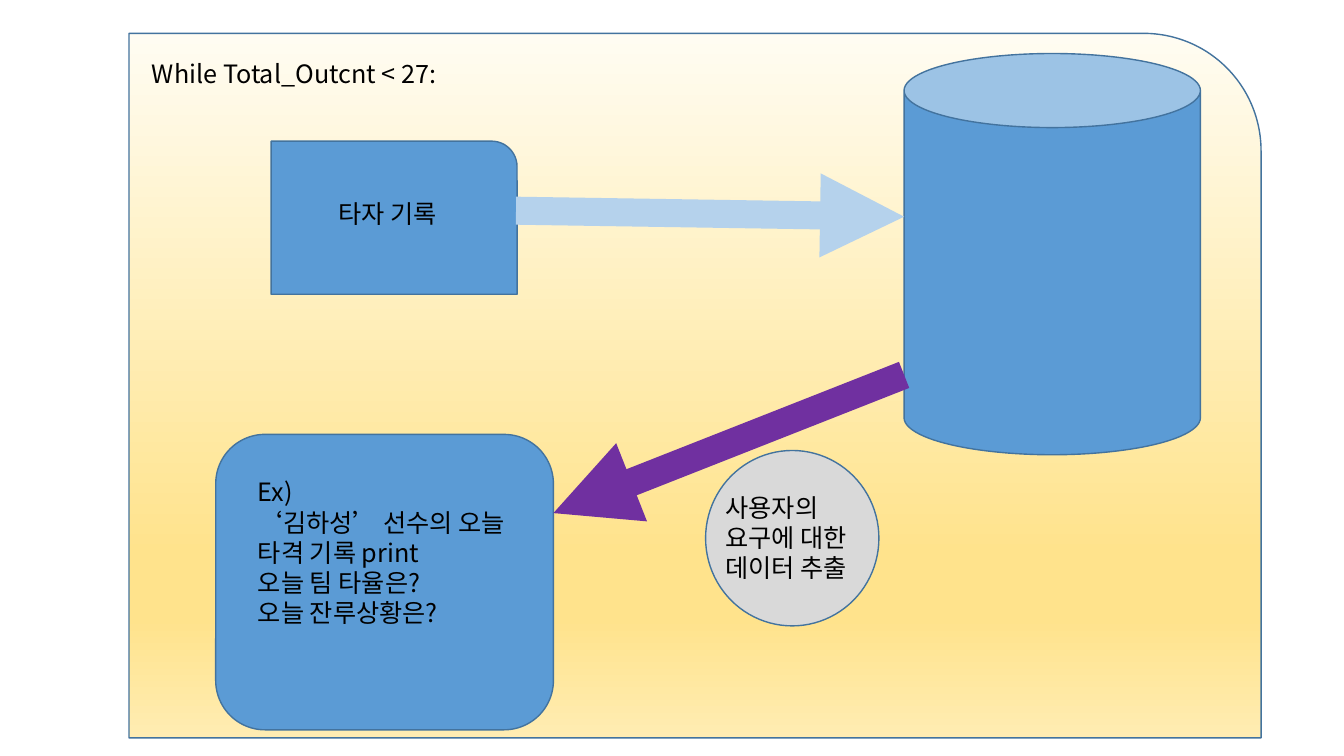
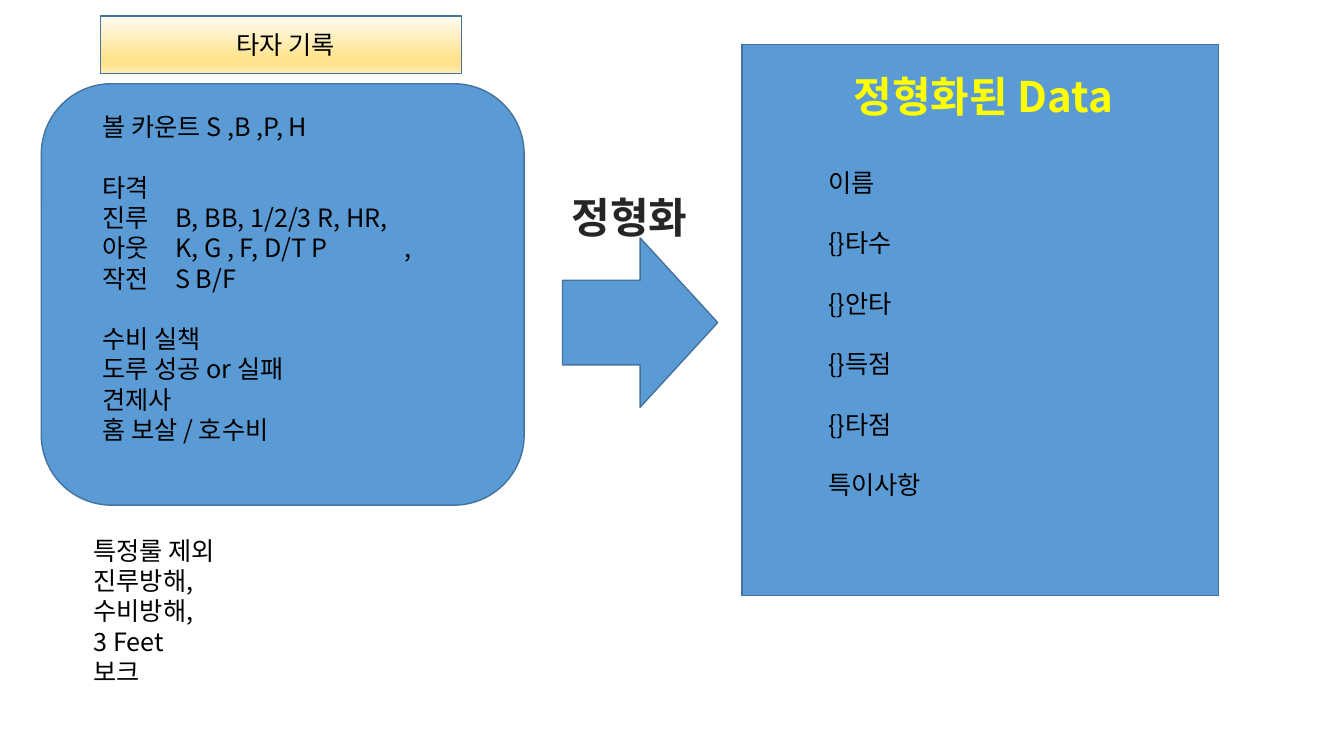
"""Two slides on baseball batting records and the data drawn from them."""
from dataclasses import dataclass

import pptx
import pptx.dml.color
import pptx.enum.dml
import pptx.enum.shapes
import pptx.enum.text
import pptx.oxml
import pptx.oxml.ns
import pptx.util
from lxml import etree

Pt = pptx.util.Pt
qn = pptx.oxml.ns.qn
KIND = pptx.enum.shapes.MSO_SHAPE
ALIGN = pptx.enum.text.PP_ALIGN

FONT = "Noto Sans CJK KR"
BLUE, EDGE, PALE, VIOLET, GRAY = "5B9BD5", "43739E", "B5D2EC", "7030A0", "D9D9D9"
BLACK, DARK, YELLOW = "000000", "262626", "FFFF00"
GOLD = ((0, "FFFCF2"), (74, "FFE38C"), (83, "FFE38C"), (100, "FFECB2"))
BODY, HEAD, PITCH = 18, 30, 1.2
TABS = (52, 216)


@dataclass
class Box:
    """A preset shape; no fill means the gold blend."""
    kind: KIND
    left: float
    top: float
    width: float
    height: float
    fill: str | None = BLUE


@dataclass
class Arrow:
    """A thick straight arrow."""
    x1: float
    y1: float
    x2: float
    y2: float
    color: str


@dataclass
class Note:
    """Text whose blocks stand one line apart."""
    left: float
    top: float
    width: float
    height: float
    blocks: tuple[str, ...]
    color: str = BLACK
    title: bool = False


def paint(code: str) -> pptx.dml.color.RGBColor:
    """Turn a hex string into a colour."""
    return pptx.dml.color.RGBColor.from_string(code)


def blend(shape) -> None:
    """Fill a shape with the gold stops, from top to bottom."""
    shape.fill.gradient()
    shape.fill.gradient_angle = 270
    stops = shape.element.spPr.find(".//" + qn("a:gsLst"))
    for old in list(stops):
        stops.remove(old)
    for place, code in GOLD:
        stop = etree.SubElement(stops, qn("a:gs"), pos=str(place * 1000))
        etree.SubElement(stop, qn("a:srgbClr"), val=code)


def draw_box(slide, box: Box) -> None:
    """Draw one preset shape."""
    shape = slide.shapes.add_shape(
        box.kind, Pt(box.left), Pt(box.top), Pt(box.width), Pt(box.height))
    shape.shadow.inherit = False
    if box.fill:
        shape.fill.solid()
        shape.fill.fore_color.rgb = paint(box.fill)
    else:
        blend(shape)
    shape.line.color.rgb = paint(EDGE)
    shape.line.width = Pt(1)


def draw_arrow(slide, arrow: Arrow) -> None:
    """Draw one arrow with a triangle at its end."""
    link = slide.shapes.add_connector(
        pptx.enum.shapes.MSO_CONNECTOR.STRAIGHT,
        Pt(arrow.x1), Pt(arrow.y1), Pt(arrow.x2), Pt(arrow.y2))
    link.line.color.rgb = paint(arrow.color)
    link.line.width = Pt(20)
    props = link.element.spPr
    etree.SubElement(props.find(qn("a:ln")), qn("a:tailEnd"), type="triangle")
    etree.SubElement(props, qn("a:effectLst"))


def style(para, note: Note) -> None:
    """Set font, line pitch and, where needed, tab stops."""
    size = HEAD if note.title else BODY
    para.line_spacing = Pt(size * PITCH)
    if note.title:
        para.alignment = ALIGN.CENTER
    font = para.font
    font.name, font.size, font.bold = FONT, Pt(size), note.title
    font.color.rgb = paint(note.color)
    props = para._p.pPr
    latin = props.find(".//" + qn("a:latin"))
    east = pptx.oxml.parse_xml(
        f'<a:ea {pptx.oxml.ns.nsdecls("a")} typeface="{FONT}"/>')
    latin.addnext(east)
    if "\t" in para.text:
        tabs = etree.Element(qn("a:tabLst"))
        for stop in TABS:
            etree.SubElement(tabs, qn("a:tab"), pos=str(int(Pt(stop))), algn="l")
        props.find(qn("a:defRPr")).addprevious(tabs)


def draw_note(slide, note: Note) -> None:
    """Write one text box."""
    frame = slide.shapes.add_textbox(
        Pt(note.left), Pt(note.top), Pt(note.width), Pt(note.height)).text_frame
    frame.word_wrap = True
    para = frame.paragraphs[0]
    for b, block in enumerate(note.blocks):
        for n, line in enumerate(block.split("\n")):
            if b or n:
                para = frame.add_paragraph()
            para.add_run().text = line
            if b and not n:
                para.space_before = Pt(BODY * PITCH)
            style(para, note)


def add_slide(deck, boxes: list[Box], arrows: list[Arrow], notes: list[Note]) -> None:
    """Add a blank slide and draw its parts, back to front."""
    slide = deck.slides.add_slide(deck.slide_layouts[6])
    for box in boxes:
        draw_box(slide, box)
    for arrow in arrows:
        draw_arrow(slide, arrow)
    for note in notes:
        draw_note(slide, note)


def add_loop(deck) -> None:
    """Show the game loop that stores and queries records."""
    boxes = [
        Box(KIND.ROUND_1_RECTANGLE, 92.2, 23.8, 808.6, 503.3, None),
        Box(KIND.CAN, 645.8, 38.2, 211.7, 286.6),
        Box(KIND.ROUND_1_RECTANGLE, 193.7, 100.8, 175.7, 109.4),
        Box(KIND.ROUNDED_RECTANGLE, 154.1, 310.3, 241.2, 211),
        Box(KIND.OVAL, 504, 321.8, 123.8, 125.3, GRAY),
    ]
    arrows = [
        Arrow(368.6, 150.5, 645.8, 154.8, PALE),
        Arrow(645.8, 267.8, 395.3, 366.5, VIOLET),
    ]
    notes = [
        Note(101.5, 38.2, 410.4, 51.1, ("While Total_Outcnt < 27:",)),
        Note(234.7, 138.2, 134, 28.8, ("타자 기록",)),
        Note(511.2, 347.8, 143.3, 72.7, ("사용자의\n요구에 대한\n데이터 추출",)),
        Note(177.1, 337, 191.5, 138.2, (
            "Ex)\n‘김하성’ 선수의 오늘 타격 기록 print\n"
            "오늘 팀 타율은?\n오늘 잔루상황은?",)),
    ]
    add_slide(deck, boxes, arrows, notes)


def add_data(deck) -> None:
    """Show raw records turned into structured data."""
    boxes = [
        Box(KIND.ROUNDED_RECTANGLE, 29.5, 59.8, 344.9, 301),
        Box(KIND.RECTANGLE, 72, 11.5, 257.8, 41, None),
        Box(KIND.RECTANGLE, 529.9, 31.7, 340.6, 393.8),
        Box(KIND.RIGHT_ARROW, 401.8, 169.9, 110.9, 121),
    ]
    notes = [
        Note(66.2, 76.3, 285.8, 269.3, (
            "볼 카운트 S ,B ,P, H",
            "타격\n진루\tB, BB, 1/2/3 R, HR,\n"
            "아웃\tK, G , F, D/T P\t,\n작전\tS B/F",
            "수비 실책\n도루 성공 or 실패\n견제사\n홈 보살 / 호수비")),
        Note(59.8, 378.7, 141.1, 116.6, (
            "특정룰 제외\n진루방해,\n수비방해,\n3 Feet\n보크",)),
        Note(162, 17.3, 229, 30.2, ("타자 기록",)),
        Note(584.6, 115.9, 268.6, 247, (
            "이름", "{}타수", "{}안타", "{}득점", "{}타점", "특이사항")),
        Note(352.1, 133.2, 195.1, 43.9, ("정형화",), DARK, True),
        Note(558, 46.8, 288.7, 43.9, ("정형화된 Data",), YELLOW, True),
    ]
    add_slide(deck, boxes, [], notes)


def main() -> None:
    """Build and save the deck."""
    deck = pptx.Presentation()
    deck.slide_width, deck.slide_height = Pt(960), Pt(540)
    add_loop(deck)
    add_data(deck)
    deck.save("out.pptx")


main()
